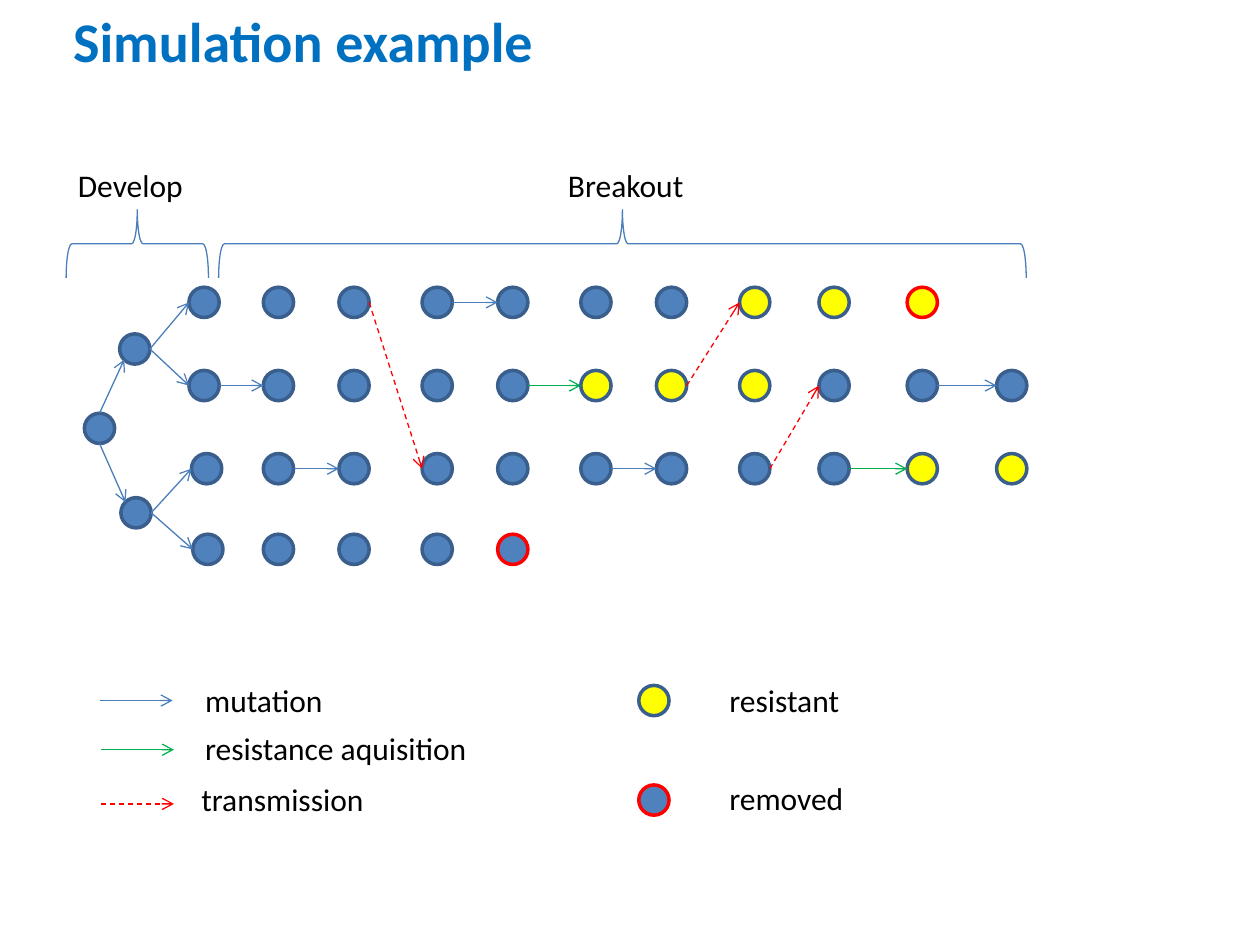
"""Build the simulation example slide: a strain tree, a grid of hosts and a legend."""
from dataclasses import dataclass

from lxml import etree
from pptx import Presentation, util as u
from pptx.dml.color import RGBColor
from pptx.enum import dml, shapes, text
from pptx.oxml.ns import qn

HUES = {"title": "0070C0", "text": "000000", "blue": "4F81BD", "edge": "3A5F8C",
        "line": "4B7EBC", "red": "FF0000", "green": "00B050", "yellow": "FFFF00"}
SIZE = 0.24
HALF = SIZE / 2
STATES = {"s": ("blue", "edge"), "r": ("yellow", "edge"),
          "x": ("blue", "red"), "y": ("yellow", "red")}
LINKS = {"mutate": ("line", False), "acquire": ("green", False), "transmit": ("red", True)}


@dataclass(frozen=True)
class Node:
    left: float
    top: float
    state: str = "s"

    def at(self, across: float, down: float) -> tuple[float, float]:
        return self.left + across * SIZE, self.top + down * SIZE


@dataclass(frozen=True)
class Label:
    words: str
    left: float
    top: float
    width: float


COLS = [1.5, 2.09, 2.69, 3.35, 3.95, 4.61, 5.21, 5.87, 6.5, 7.2, 7.91]
ROWS = {2.28: "sssssssrry", 2.94: "sssssrrrsss", 3.6: "sssssssssrr", 4.24: "ssssx"}
SHIFTS = [0, 0, 0.02, 0.03]
GRID = [[Node(left + (0 if col else shift), top, state)
         for col, (left, state) in enumerate(zip(COLS, row))]
        for shift, (top, row) in zip(SHIFTS, ROWS.items())]
ROOT = Node(0.67, 3.28)
FORKS = [Node(0.95, 2.65), Node(0.96, 3.95)]
PATHS = {"mutate": [((1, 0), (1, 1)), ((2, 1), (2, 2)), ((0, 3), (0, 4)),
                    ((2, 5), (2, 6)), ((1, 9), (1, 10))],
         "acquire": [((1, 4), (1, 5)), ((2, 8), (2, 9))],
         "transmit": [((0, 2), (2, 3)), ((1, 6), (0, 7)), ((2, 7), (1, 8))]}
BRACES = [(0.82, 1.37, 0.54, 1.13), (4.67, -1.27, 0.54, 6.41)]
LABELS = [Label("Develop", 0.52, 1.27, 1.1), Label("Breakout", 4.41, 1.27, 1.14),
          Label("mutation", 1.53, 5.36, 1.28), Label("resistance aquisition", 1.53, 5.74, 2.42),
          Label("transmission", 1.5, 6.14, 1.64),
          Label("resistant", 5.69, 5.36, 1.28), Label("removed", 5.69, 6.13, 1.28)]
KEYS = {"mutate": (0.79, 5.56), "acquire": (0.8, 5.95), "transmit": (0.8, 6.38)}
SAMPLES = [Node(5.07, 5.44, "r"), Node(5.07, 6.23, "x")]


def hue(name: str) -> RGBColor:
    return RGBColor.from_string(HUES[name])


def span(*sides: float) -> list:
    return [u.Inches(side) for side in sides]


def apply(item, **values) -> None:
    for name, value in values.items():
        setattr(item, name, value)


def stroke(line, name: str, width: float) -> None:
    line.color.rgb = hue(name)
    line.width = u.Pt(width)


def draw_node(slide, node: Node) -> None:
    fill, edge = STATES[node.state]
    dot = slide.shapes.add_shape(shapes.MSO_SHAPE.OVAL, *span(node.left, node.top, SIZE, SIZE))
    dot.shadow.inherit = False
    dot.fill.solid()
    dot.fill.fore_color.rgb = hue(fill)
    stroke(dot.line, edge, 2)


def draw_link(slide, kind: str, start: tuple[float, float], end: tuple[float, float]) -> None:
    name, dashed = LINKS[kind]
    link = slide.shapes.add_connector(shapes.MSO_CONNECTOR.STRAIGHT, *span(*start, *end))
    stroke(link.line, name, 0.75)
    if dashed:
        link.line.dash_style = dml.MSO_LINE.DASH
    etree.SubElement(link.line._get_or_add_ln(), qn("a:tailEnd"), type="arrow")
    etree.SubElement(link._element.spPr, qn("a:effectLst"))


def draw_brace(slide, box: tuple[float, ...]) -> None:
    brace = slide.shapes.add_shape(shapes.MSO_SHAPE.RIGHT_BRACE, *span(*box))
    brace.rotation = 270
    brace.shadow.inherit = False
    brace.fill.background()
    stroke(brace.line, "line", 0.75)


def write(frame, words: str, size: int, name: str, bold: bool) -> None:
    para = frame.paragraphs[0]
    para.alignment = text.PP_ALIGN.LEFT
    run = para.add_run()
    run.text = words
    apply(run.font, name="Calibri", size=u.Pt(size), bold=bold)
    run.font.color.rgb = hue(name)


def draw_label(slide, label: Label) -> None:
    box = slide.shapes.add_textbox(*span(label.left, label.top, label.width, 0.4))
    apply(box.text_frame, word_wrap=True, auto_size=text.MSO_AUTO_SIZE.SHAPE_TO_FIT_TEXT)
    write(box.text_frame, label.words, 18, "text", False)


def draw_title(slide, words: str) -> None:
    title = slide.shapes.title
    left, top, width, height = span(0.48, 0, 9, 6.7)
    apply(title, left=left, top=top, width=width, height=height)
    apply(title.text_frame, vertical_anchor=text.MSO_ANCHOR.TOP, word_wrap=True,
          auto_size=text.MSO_AUTO_SIZE.NONE)
    write(title.text_frame, words, 32, "title", True)


def draw_tree(slide) -> None:
    for index, fork in enumerate(FORKS):
        draw_link(slide, "mutate", ROOT.at(0.5, index), fork.at(0.15, 0.85 - 0.7 * index))
        for row in GRID[2 * index:2 * index + 2]:
            draw_link(slide, "mutate", fork.at(1, 0.5), row[0].at(0, 0.5))


def main() -> None:
    deck = Presentation()
    deck.slide_width, deck.slide_height = span(10, 7.5)
    slide = deck.slides.add_slide(deck.slide_layouts[5])
    draw_title(slide, "Simulation example")
    for node in [ROOT, *FORKS, *sum(GRID, []), *SAMPLES]:
        draw_node(slide, node)
    draw_tree(slide)
    for kind, pairs in PATHS.items():
        for (row, col), (to_row, to_col) in pairs:
            draw_link(slide, kind, GRID[row][col].at(1, 0.5), GRID[to_row][to_col].at(0, 0.5))
    for kind, (left, top) in KEYS.items():
        draw_link(slide, kind, (left, top), (left + 0.58, top))
    for box in BRACES:
        draw_brace(slide, box)
    for label in LABELS:
        draw_label(slide, label)
    deck.save("out.pptx")


if __name__ == "__main__":
    main()
